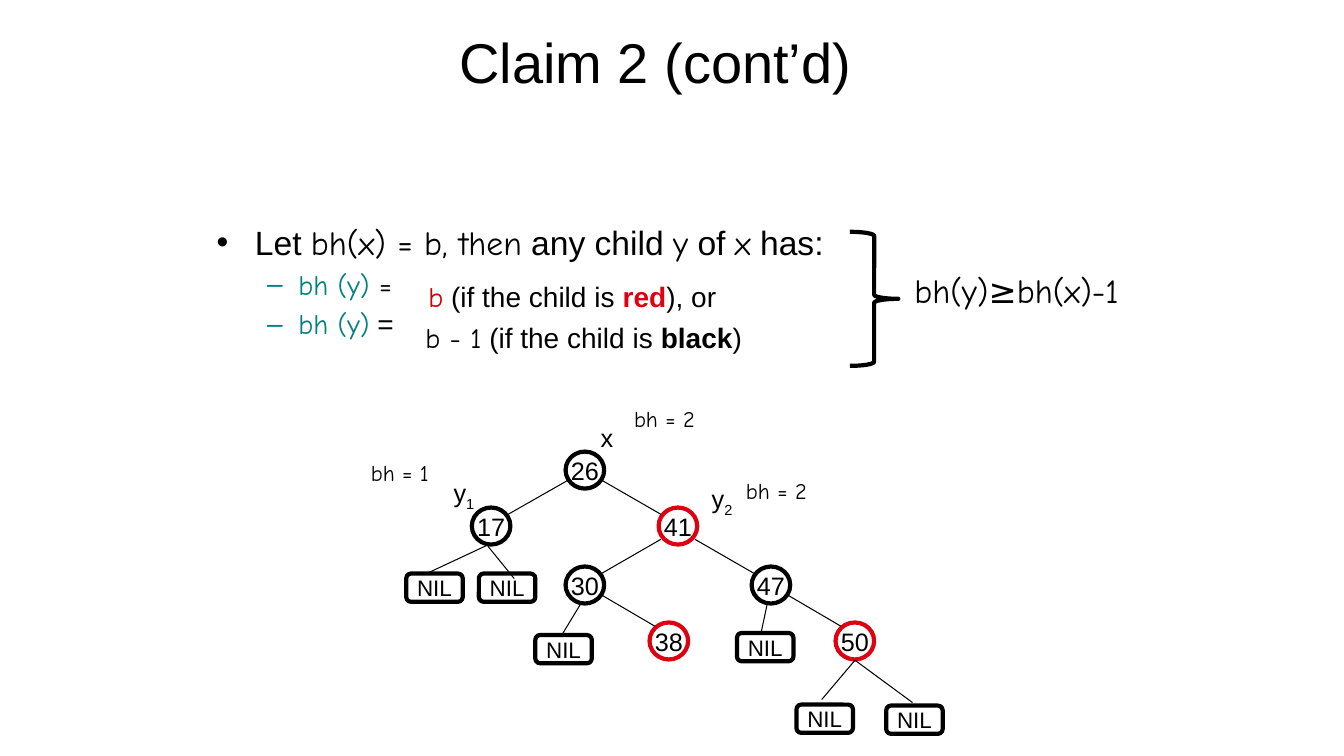
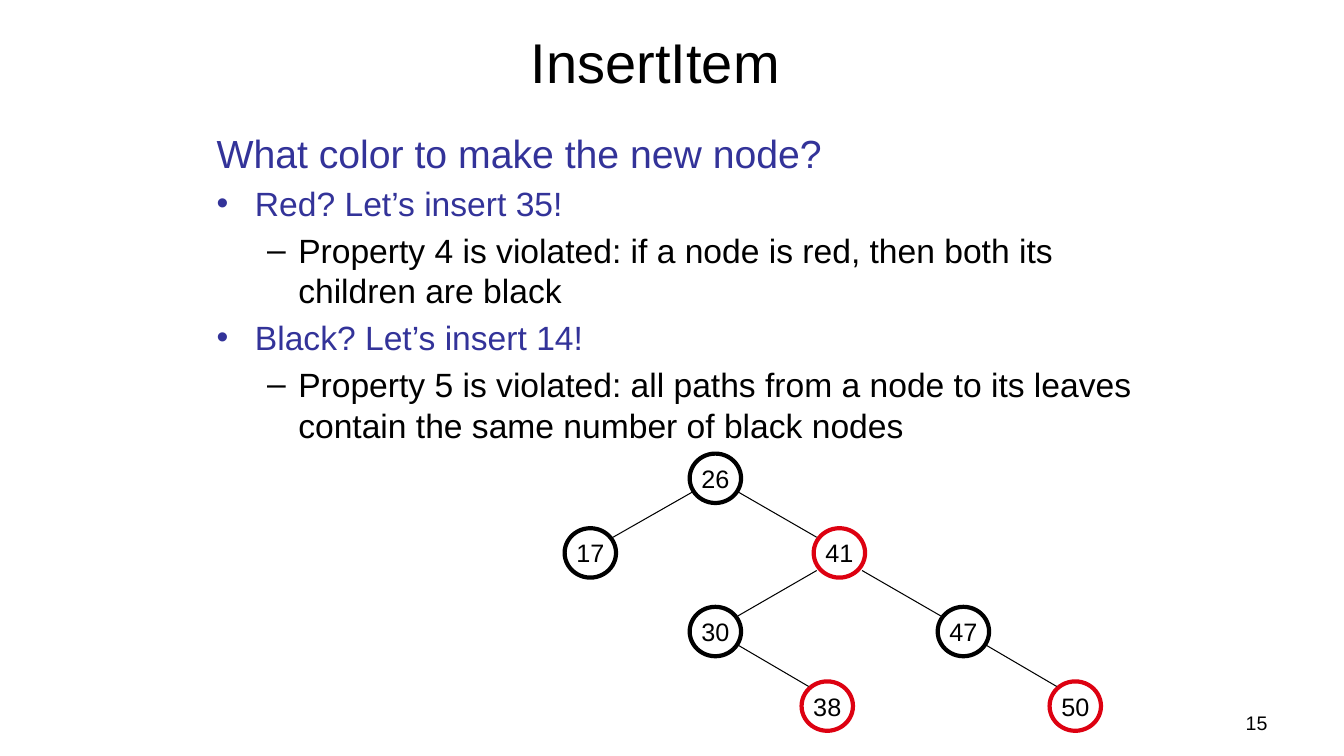
from dataclasses import dataclass

from lxml import etree
from pptx import Presentation
from pptx.dml.color import RGBColor
from pptx.enum.shapes import MSO_CONNECTOR, MSO_SHAPE
from pptx.enum.text import MSO_ANCHOR, PP_ALIGN
from pptx.oxml.ns import qn
from pptx.util import Emu, Pt

PX = 9144  # 100 px to the inch
LEFT, CENTER, RIGHT = PP_ALIGN.LEFT, PP_ALIGN.CENTER, PP_ALIGN.RIGHT
TOP, MIDDLE = MSO_ANCHOR.TOP, MSO_ANCHOR.MIDDLE
OVAL, ROUNDED, BRACE = MSO_SHAPE.OVAL, MSO_SHAPE.ROUNDED_RECTANGLE, MSO_SHAPE.RIGHT_BRACE
STRAIGHT = MSO_CONNECTOR.STRAIGHT


@dataclass(frozen=True)
class Theme:
    sans: str = "Arial"
    comic: str = "Comic Neue"
    black: str = "000000"
    red: str = "DD0111"
    dark_red: str = "CC0000"
    teal: str = "008080"
    blue: str = "333399"
    title: int = 40
    question: int = 28
    body: int = 24
    detail: int = 20
    node: int = 18
    small: int = 16
    footer: int = 14
    outline: float = 3
    edge: float = 0.75


THEME = Theme()

# Level: bullet, left indent px, hanging px
LEVELS = {"plain": (None, 38, 38), "bullet": ("•", 38, 38), "dash": ("–", 81, 31)}

# Tree at full size: node width and height, then left, top and colour of each node
NODE_SIZE = (51, 49)
NODES = {
    "26": (124, 0, THEME.black),
    "17": (0, 74, THEME.black),
    "41": (247, 74, THEME.red),
    "30": (124, 152, THEME.black),
    "47": (370, 152, THEME.black),
    "38": (235, 226, THEME.red),
    "50": (481, 226, THEME.red),
}
# Parent, child, how far down each node the edge leaves and arrives, inset on arrival
EDGES = [
    ("26", "17", 38, 9, 3), ("26", "41", 38, 9, 3), ("41", "30", 42, 9, 3),
    ("41", "47", 42, 9, 3), ("30", "38", 38, 5, 7), ("47", "50", 38, 5, 7),
]
LEAVE_INSET = 3
SMALL_TREE = 0.75

# Offsets from the corner of the small tree
NIL_SIZE = (56, 28)
NIL_LEAVES = [(-65, 121), (7, 121), (63, 182), (263, 180), (411, 252), (322, 251)]
NIL_EDGES = [
    (15, 93, -47, 122), (16, 94, 42, 126), (108, 151, 88, 184),
    (293, 151, 287, 179), (380, 207, 347, 246), (380, 207, 437, 249),
]
NODE_LABELS = [(118, -34, 33, "x", ""), (-28, 21, 42, "y", "1"), (228, 27, 42, "y", "2")]
HEIGHT_LABELS = [(262, 20, "bh = 2"), (151, -51, "bh = 2"), (-110, 3, "bh = 1")]


def emu(*lengths):
    return [Emu(round(length * PX)) for length in lengths]


def sans(text, size, color=THEME.black, **extra):
    return text, dict(name=THEME.sans, size=Pt(size), color=color, **extra)


def comic(text, size, color=THEME.black):
    return text, dict(name=THEME.comic, size=Pt(size), color=color)


def add_runs(paragraph, runs):
    for text, formats in runs:
        run = paragraph.add_run()
        run.text = text
        for key, value in formats.items():
            if key == "color":
                run.font.color.rgb = RGBColor.from_string(value)
            elif key == "baseline":
                run._r.get_or_add_rPr().set("baseline", str(value))
            else:
                setattr(run.font, key, value)


def format_frame(frame, **formats):
    for key, value in formats.items():
        setattr(frame, key, value)


def add_label(slide, box, runs, alignment=LEFT, anchor=TOP, wrap=False):
    frame = slide.shapes.add_textbox(*emu(*box)).text_frame
    format_frame(frame, word_wrap=wrap, vertical_anchor=anchor)
    paragraph = frame.paragraphs[0]
    paragraph.alignment = alignment
    add_runs(paragraph, runs)


def add_outline(slide, kind, box, color, runs=()):
    """Add an unfilled shape with a thick line and centred text."""
    shape = slide.shapes.add_shape(kind, *emu(*box))
    shape.shadow.inherit = False
    shape.fill.background()
    shape.line.color.rgb = RGBColor.from_string(color)
    shape.line.width = Pt(THEME.outline)
    format_frame(shape.text_frame, word_wrap=False, vertical_anchor=MIDDLE,
                 margin_left=0, margin_right=0, margin_top=0, margin_bottom=0)
    paragraph = shape.text_frame.paragraphs[0]
    paragraph.alignment = CENTER
    add_runs(paragraph, runs)


def add_edge(slide, *ends):
    edge = slide.shapes.add_connector(STRAIGHT, *emu(*ends))
    edge.line.color.rgb = RGBColor.from_string(THEME.black)
    edge.line.width = Pt(THEME.edge)
    etree.SubElement(edge._element.spPr, qn("a:effectLst"))


def set_bullet(paragraph, level, color):
    bullet, indent, hanging = LEVELS[level]
    properties = paragraph._p.get_or_add_pPr()
    properties.set("marL", str(indent * PX))
    properties.set("indent", str(-hanging * PX))
    if bullet is None:
        etree.SubElement(properties, qn("a:buNone"))
        return
    bullet_color = etree.SubElement(properties, qn("a:buClr"))
    etree.SubElement(bullet_color, qn("a:srgbClr"), val=color)
    etree.SubElement(properties, qn("a:buFont"), typeface=THEME.sans)
    etree.SubElement(properties, qn("a:buChar"), char=bullet)


def add_body(slide, box, items):
    """Add a bulleted list of (level, runs) items."""
    frame = slide.shapes.add_textbox(*emu(*box)).text_frame
    frame.word_wrap = True
    for index, (level, runs) in enumerate(items):
        paragraph = frame.add_paragraph() if index else frame.paragraphs[0]
        first_format = runs[0][1]
        set_bullet(paragraph, level, first_format["color"])
        paragraph.space_before = Pt(round(first_format["size"].pt * 0.2, 1) if index else 0)
        add_runs(paragraph, runs)


def add_title(slide, text):
    add_label(slide, (50, 11, 1200, 99), [sans(text, THEME.title)], CENTER, MIDDLE, True)


def add_tree(slide, left, top, scale=1):
    width, height = NODE_SIZE
    for key, (x, y, color) in NODES.items():
        box = (left + x * scale, top + y * scale, width * scale, height * scale)
        add_outline(slide, OVAL, box, color, [sans(key, THEME.node)])
    for parent, child, leave, arrive, inset in EDGES:
        (parent_x, parent_y, _), (child_x, child_y, _) = NODES[parent], NODES[child]
        if child_x > parent_x:
            start, end = width - LEAVE_INSET, inset
        else:
            start, end = LEAVE_INSET, width - inset
        add_edge(slide,
                 left + (parent_x + start) * scale, top + (parent_y + leave) * scale,
                 left + (child_x + end) * scale, top + (child_y + arrive) * scale)


def add_tree_notes(slide, left, top):
    """Add the NIL leaves, node names and black heights around the small tree."""
    for x, y, width, name, index in NODE_LABELS:
        runs = [sans(name, THEME.node)]
        if index:
            runs.append(sans(index, THEME.node, baseline=-25000))
        add_label(slide, (left + x, top + y, width, 40), runs)
    for x, y, text in HEIGHT_LABELS:
        add_label(slide, (left + x, top + y, 84, 37), [comic(text, THEME.small)])
    for x, y in NIL_LEAVES:
        add_outline(slide, ROUNDED, (left + x, top + y, *NIL_SIZE), THEME.black,
                    [sans("NIL", THEME.small)])
    for x1, y1, x2, y2 in NIL_EDGES:
        add_edge(slide, left + x1, top + y1, left + x2, top + y2)


def add_cases(slide, left, top):
    """Add the two cases, the brace and the conclusion."""
    size = THEME.detail
    add_label(slide, (left + 3, top, 306, 43), [
        comic("b", size, THEME.dark_red), sans(" (if the child is ", size),
        sans("red", size, THEME.red, bold=True), sans("), or", size)])
    add_label(slide, (left, top + 41, 335, 43), [
        comic("b - 1", size), sans(" (if the child is ", size),
        sans("black", size, bold=True), sans(")", size)])
    add_outline(slide, BRACE, (left + 431, top - 42, 48, 133), THEME.black)
    add_label(slide, (left + 485, top - 9, 227, 51), [comic("bh(y)≥bh(x)-1", THEME.body)])


def build_claim(slide):
    size, detail = THEME.body, THEME.detail
    add_title(slide, "Claim 2 (cont’d)")
    add_body(slide, (205, 215, 911, 150), [
        ("bullet", [sans("Let ", size), comic("bh(x) = b, then", size),
                    sans(" any child ", size), comic("y", size), sans(" of ", size),
                    comic("x", size), sans(" has:", size)]),
        ("dash", [comic("bh (y)", detail, THEME.teal), comic(" =", detail)]),
        ("dash", [comic("bh (y)", detail, THEME.teal), sans(" =", detail)]),
    ])
    add_cases(slide, 412, 272)
    add_tree(slide, 468, 448, SMALL_TREE)
    add_tree_notes(slide, 468, 448)


def build_insert_item(slide):
    size = THEME.body
    add_label(slide, (956, 700, 311, 35), [sans("15", THEME.footer)], RIGHT, wrap=True)
    add_title(slide, "InsertItem")
    add_body(slide, (205, 123, 939, 325), [
        ("plain", [sans("What color to make the new node?", THEME.question, THEME.blue)]),
        ("bullet", [sans("Red? Let’s insert 35!", size, THEME.blue)]),
        ("dash", [sans("Property 4 is violated: if a node is red, then both its "
                       "children are black", size)]),
        ("bullet", [sans("Black? Let’s insert 14!", size, THEME.blue)]),
        ("dash", [sans("Property 5 is violated: all paths from a node to its leaves "
                       "contain the same number of black nodes", size)]),
    ])
    add_tree(slide, 560, 450)


def main():
    presentation = Presentation()
    presentation.slide_width, presentation.slide_height = emu(1333, 750)
    blank = presentation.slide_layouts[6]
    for build in (build_claim, build_insert_item):
        build(presentation.slides.add_slide(blank))
    presentation.save("out.pptx")


if __name__ == "__main__":
    main()
